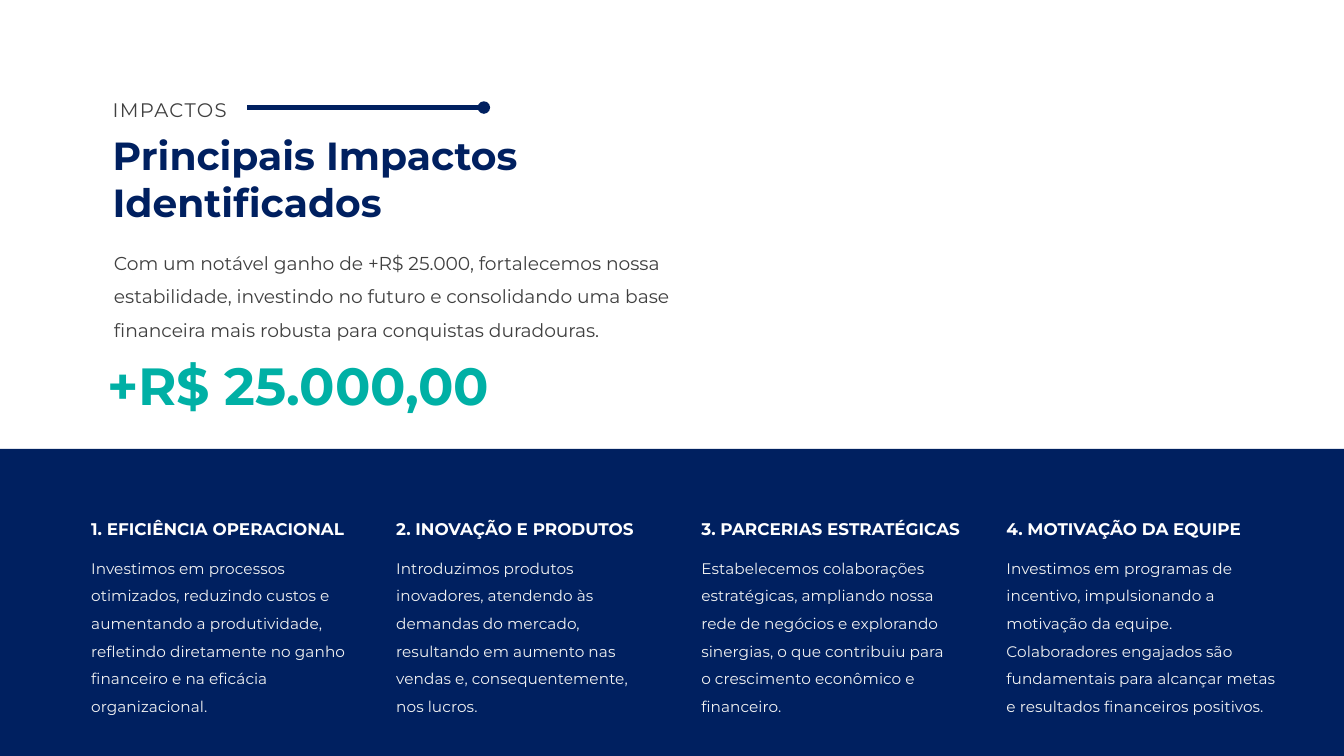
from dataclasses import dataclass

from pptx import Presentation
from pptx.dml.color import RGBColor
from pptx.enum.shapes import MSO_CONNECTOR as Connector, MSO_SHAPE as Shape
from pptx.enum.text import MSO_AUTO_SIZE as AutoSize
from pptx.oxml.ns import qn
from pptx.util import Inches, Pt
from lxml.etree import SubElement

COLORS = {
    "navy": "002060",
    "teal": "00B0A5",
    "gray": "404040",
    "white": "FFFFFF",
    "soft_white": "F2F2F2",
}
FONT = "Montserrat"


@dataclass
class TextStyle:
    size: float
    color: str
    bold: bool = False
    line_spacing: float | None = None
    tracking: float = 0
    wrap: bool = True


@dataclass
class Impact:
    heading: str
    heading_width: float
    detail: str
    detail_width: float


STYLES = {
    "label": TextStyle(10.5, "gray", tracking=0.75, wrap=False),
    "title": TextStyle(21, "navy", bold=True),
    "intro": TextStyle(10, "gray", line_spacing=1.5),
    "amount": TextStyle(28, "teal", bold=True),
    "heading": TextStyle(9, "white", bold=True, wrap=False),
    "detail": TextStyle(8.25, "soft_white", line_spacing=1.5),
}

IMPACTS = [
    Impact("1. EFICIÊNCIA OPERACIONAL", 2.1,
           "Investimos em processos otimizados, reduzindo custos e aumentando a "
           "produtividade, refletindo diretamente no ganho financeiro e na eficácia "
           "organizacional.", 2.28),
    Impact("2. INOVAÇÃO E PRODUTOS", 2,
           "Introduzimos produtos inovadores, atendendo às demandas do mercado, "
           "resultando em aumento nas vendas e, consequentemente, nos lucros.", 2.1),
    Impact("3. PARCERIAS ESTRATÉGICAS", 2.15,
           "Estabelecemos colaborações estratégicas, ampliando nossa rede de negócios "
           "e explorando sinergias, o que contribuiu para o crescimento econômico e "
           "financeiro.", 2.1),
    Impact("4. MOTIVAÇÃO DA EQUIPE", 1.97,
           "Investimos em programas de incentivo, impulsionando a motivação da equipe. "
           "Colaboradores engajados são fundamentais para alcançar metas e resultados "
           "financeiros positivos.", 2.28),
]
FIRST_COLUMN, COLUMN_STEP = 0.58, 2.27


def rgb(color: str) -> RGBColor:
    return RGBColor.from_string(COLORS[color])


def add_text(shapes, text: str, style: TextStyle,
             left: float, top: float, width: float, height: float) -> None:
    box = shapes.add_textbox(Inches(left), Inches(top), Inches(width), Inches(height))
    frame = box.text_frame
    frame.word_wrap = style.wrap
    frame.auto_size = AutoSize.SHAPE_TO_FIT_TEXT
    paragraph = frame.paragraphs[0]
    if style.line_spacing:
        paragraph.line_spacing = style.line_spacing
    run = paragraph.add_run()
    run.text = text
    font_format = {"name": FONT, "size": Pt(style.size), "bold": style.bold}
    for attribute, value in font_format.items():
        setattr(run.font, attribute, value)
    run.font.color.rgb = rgb(style.color)
    if style.tracking:
        run.font._element.set("spc", str(round(style.tracking * 100)))


def add_dotted_end_line(shapes, left: float, right: float, y: float) -> None:
    rule = shapes.add_connector(Connector.STRAIGHT, Inches(left), Inches(y),
                                Inches(right), Inches(y))
    rule.line.color.rgb = rgb("navy")
    rule.line.width = Pt(2.25)
    SubElement(rule.line._get_or_add_ln(), qn("a:tailEnd"), type="oval")
    SubElement(rule._element.spPr, qn("a:effectLst"))


def add_band(shapes, top: float, width: float, height: float) -> None:
    band = shapes.add_shape(Shape.RECTANGLE, 0, Inches(top), Inches(width), Inches(height))
    band.shadow.inherit = False
    band.fill.solid()
    band.fill.fore_color.rgb = rgb("navy")
    band.line.fill.background()


def add_impact(shapes, impact: Impact, left: float) -> None:
    add_text(shapes, impact.heading, STYLES["heading"],
             left, 3.81, impact.heading_width, 0.25)
    add_text(shapes, impact.detail, STYLES["detail"],
             left, 4.04, impact.detail_width, 1.33)


def main() -> None:
    # Widescreen slide, 16:9
    deck = Presentation()
    deck.slide_width = Inches(10)
    deck.slide_height = Inches(10) * 9 // 16
    slide = deck.slides.add_slide(deck.slide_layouts[6])
    shapes = slide.shapes

    # Title area
    add_text(shapes, "Principais Impactos Identificados", STYLES["title"],
             0.74, 0.93, 3.76, 0.81)
    add_text(shapes, "IMPACTOS", STYLES["label"], 0.74, 0.68, 1.1, 0.28)
    add_text(shapes,
             "Com um notável ganho de +R$ 25.000, fortalecemos nossa estabilidade, "
             "investindo no futuro e consolidando uma base financeira mais robusta "
             "para conquistas duradouras.",
             STYLES["intro"], 0.75, 1.74, 4.77, 0.83)
    add_dotted_end_line(shapes, 1.84, 3.6, 0.8)

    # Band with the four impacts
    impact_group = shapes.add_group_shape().shapes
    add_band(impact_group, 3.34, 10, 2.29)
    for column, impact in enumerate(IMPACTS):
        add_impact(impact_group, impact, FIRST_COLUMN + column * COLUMN_STEP)

    # Amount gained
    add_text(shapes, "+R$ 25.000,00", STYLES["amount"], 0.7, 2.58, 3.76, 0.57)

    deck.save("out.pptx")


if __name__ == "__main__":
    main()
